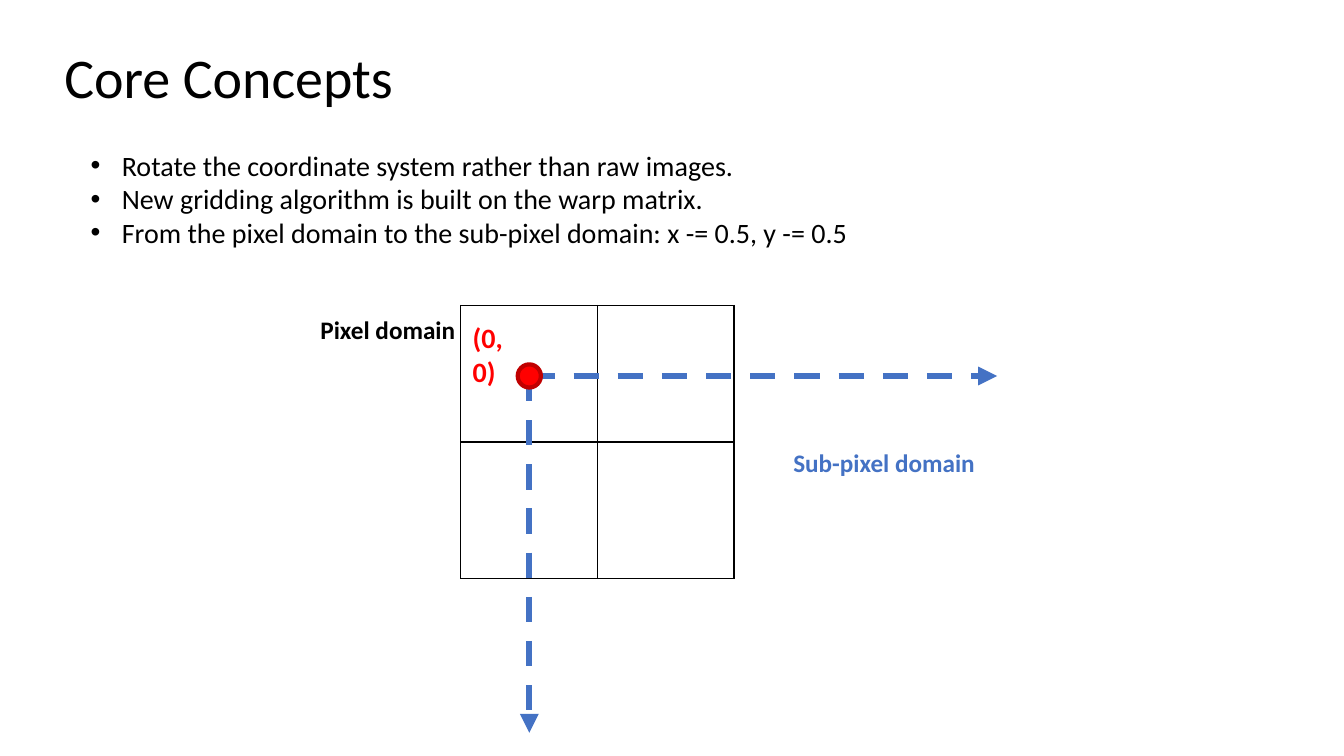
from dataclasses import dataclass

from lxml.etree import SubElement
from pptx import Presentation
from pptx.dml.color import RGBColor
from pptx.enum.dml import MSO_LINE
from pptx.enum.shapes import MSO_CONNECTOR, MSO_SHAPE
from pptx.enum.text import MSO_AUTO_SIZE
from pptx.oxml.ns import qn
from pptx.util import Inches, Pt


@dataclass(frozen=True)
class Theme:
    font: str = "Calibri"
    black: str = "000000"
    blue: str = "4472C4"
    red: str = "FF0000"
    dark_red: str = "C00000"
    title: int = 40
    body: int = 20
    label: int = 18
    grid_line: float = 1
    dot_line: float = 3
    axis_line: float = 4.5


class SlideBuilder:
    def __init__(self, slide, theme):
        self.slide = slide
        self.theme = theme

    def text(self, lines, box, size, color, bold=False, bullet=False):
        shape = self.slide.shapes.add_textbox(*map(Inches, box))
        frame = shape.text_frame
        frame.word_wrap = True
        frame.auto_size = MSO_AUTO_SIZE.SHAPE_TO_FIT_TEXT
        for index, line in enumerate(lines):
            paragraph = frame.add_paragraph() if index else frame.paragraphs[0]
            if bullet:
                self.add_bullet(paragraph)
            run = paragraph.add_run()
            run.text = line
            run.font.name = self.theme.font
            run.font.size = Pt(size)
            run.font.bold = bold
            run.font.color.rgb = RGBColor.from_string(color)

    def add_bullet(self, paragraph, indent=0.31):
        properties = paragraph._p.get_or_add_pPr()
        properties.set("marL", str(Inches(indent)))
        properties.set("indent", str(-Inches(indent)))
        SubElement(properties, qn("a:buFont"), typeface="Arial")
        SubElement(properties, qn("a:buChar"), char="•")

    def grid(self, left, top, count, cell_size):
        side = Inches(count * cell_size)
        table = self.slide.shapes.add_table(
            count, count, Inches(left), Inches(top), side, side).table
        table.first_row = table.horz_banding = False
        for row in table.rows:
            row.height = Inches(cell_size)
        for column in table.columns:
            column.width = Inches(cell_size)
        for cell in table.iter_cells():
            properties = cell._tc.get_or_add_tcPr()
            for edge in ("a:lnL", "a:lnR", "a:lnT", "a:lnB"):
                border = SubElement(properties, qn(edge), w=str(Pt(self.theme.grid_line)))
                fill = SubElement(border, qn("a:solidFill"))
                SubElement(fill, qn("a:srgbClr"), val=self.theme.black)
            cell.fill.background()

    def axis(self, start, end):
        connector = self.slide.shapes.add_connector(
            MSO_CONNECTOR.STRAIGHT, *map(Inches, start + end))
        connector.line.color.rgb = RGBColor.from_string(self.theme.blue)
        connector.line.width = Pt(self.theme.axis_line)
        connector.line.dash_style = MSO_LINE.DASH
        SubElement(connector.line._get_or_add_ln(), qn("a:tailEnd"), type="triangle")
        SubElement(connector._element.spPr, qn("a:effectLst"))

    def dot(self, center, diameter):
        left, top = (Inches(value - diameter / 2) for value in center)
        shape = self.slide.shapes.add_shape(
            MSO_SHAPE.OVAL, left, top, Inches(diameter), Inches(diameter))
        shape.shadow.inherit = False
        shape.fill.solid()
        shape.fill.fore_color.rgb = RGBColor.from_string(self.theme.red)
        shape.line.color.rgb = RGBColor.from_string(self.theme.dark_red)
        shape.line.width = Pt(self.theme.dot_line)


presentation = Presentation()
presentation.slide_width = Inches(13.33)
presentation.slide_height = Inches(7.5)
theme = Theme()
builder = SlideBuilder(
    presentation.slides.add_slide(presentation.slide_layouts[6]), theme)

# Key points and title
builder.text(
    ["Rotate the coordinate system rather than raw images.",
     "New gridding algorithm is built on the warp matrix.",
     "From the pixel domain to the sub-pixel domain: x -= 0.5, y -= 0.5"],
    (0.8, 1.42, 7.91, 1.11), theme.body, theme.black, bullet=True)
builder.text(["Core Concepts"], (0.54, 0.37, 6.28, 0.77), theme.title, theme.black)

# Pixel grid
builder.grid(4.57, 3.03, count=2, cell_size=1.355)

# Sub-pixel axes, starting at the middle of the first pixel
origin = (5.25, 3.73)
builder.axis(origin, (9.89, origin[1]))
builder.axis(origin, (origin[0], 7.27))
builder.dot(origin, 0.23)

# Labels
builder.text(["(0, 0)"], (4.59, 3.13, 0.72, 0.44), theme.body, theme.red, bold=True)
builder.text(["Sub-pixel domain"], (7.77, 4.39, 2.03, 0.4), theme.label, theme.blue, bold=True)
builder.text(["Pixel domain"], (3.08, 3.07, 1.6, 0.4), theme.label, theme.black, bold=True)

presentation.save("out.pptx")
